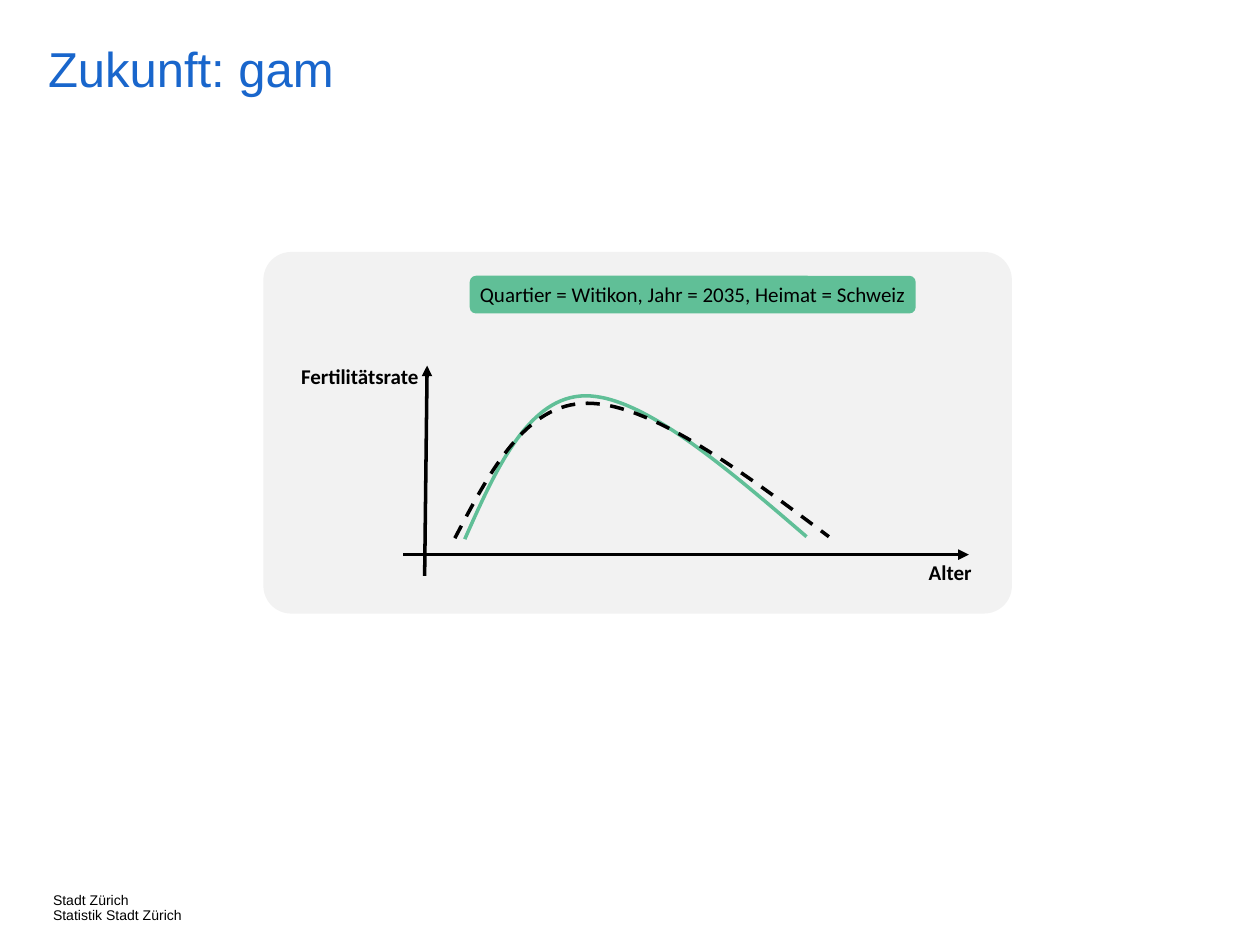
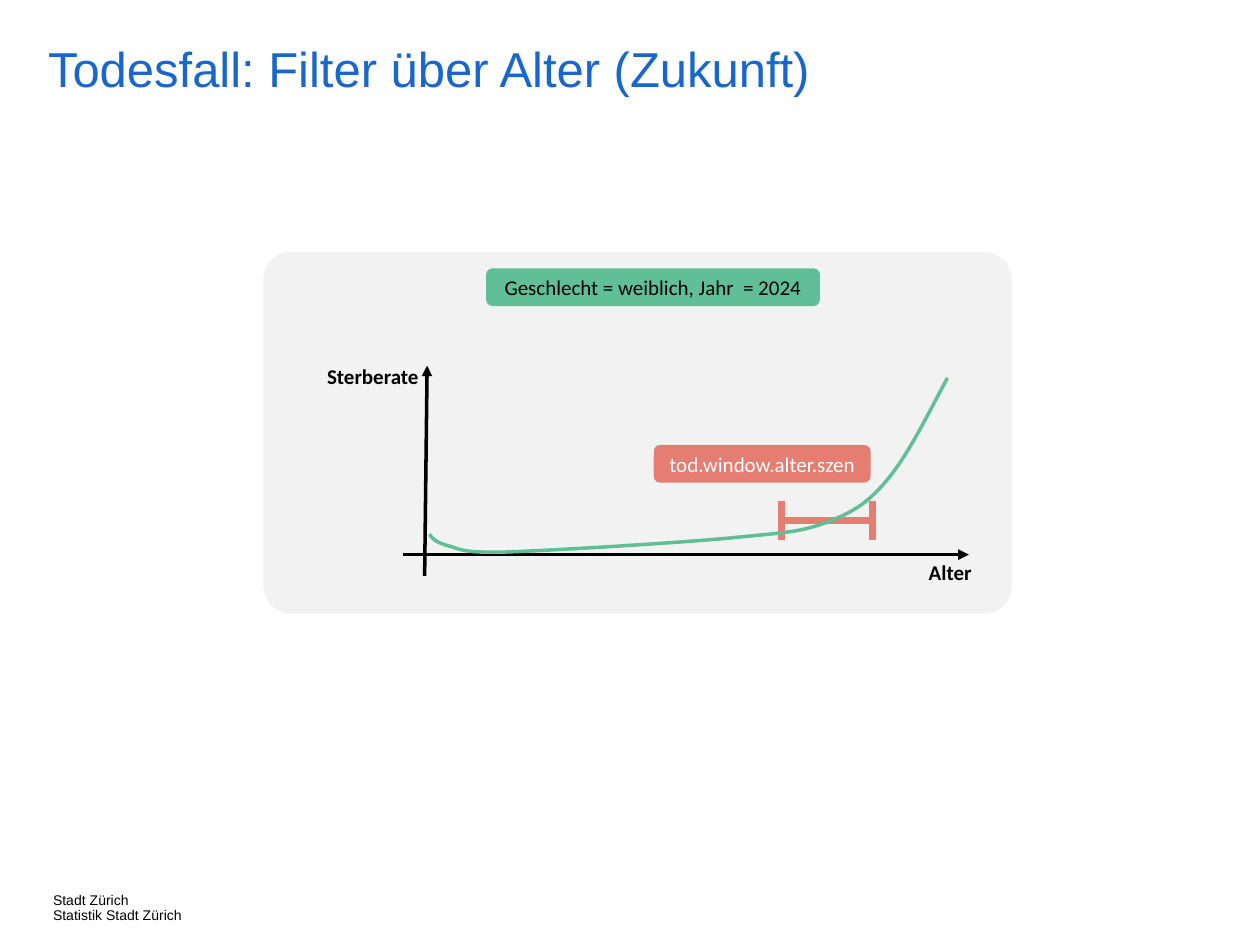
"""Build two slides that sketch smoothed fertility and mortality rates by age."""
from dataclasses import dataclass

from pptx import Presentation
from pptx.dml.color import RGBColor
from pptx.enum.dml import MSO_LINE
from pptx.enum.shapes import MSO_CONNECTOR, MSO_SHAPE
from pptx.enum.text import MSO_ANCHOR, PP_ALIGN
from pptx.oxml.xmlchemy import OxmlElement
from pptx.util import Cm, Pt


@dataclass(frozen=True)
class Theme:
    title: str = "1966CC"
    ink: str = "000000"
    white: str = "FFFFFF"
    panel: str = "F2F2F2"
    green: str = "60BF97"
    red: str = "E67D73"
    head_font: str = "Arial"
    body_font: str = "Calibri"
    title_size: int = 28
    label_size: int = 12
    footer_size: int = 8
    line: int = 2
    bracket: int = 4


THEME = Theme()
LABEL_HEIGHT = 0.76

FERTILITY = [(9.37, 10.87), (10.01, 9.42), (10.67, 7.98), (11.81, 7.98),
             (12.95, 7.98), (14.61, 9.4), (16.26, 10.82)]
FERTILITY_SMOOTH = [(9.17, 10.85), (9.88, 9.5), (10.59, 8.13), (11.84, 8.13),
                    (13.11, 8.13), (14.91, 9.47), (16.71, 10.82)]
MORTALITY = [(8.66, 10.77), (8.71, 10.85), (8.76, 10.92), (9.02, 11),
             (9.27, 11.05), (9.22, 11.15), (10.16, 11.13),
             (11.1, 11.1), (13.59, 10.95), (14.68, 10.85),
             (15.75, 10.74), (16.1, 10.74), (16.64, 10.54),
             (17.17, 10.34), (17.48, 10.16), (17.88, 9.68),
             (18.31, 9.17), (18.69, 8.38), (19.1, 7.62)]


def rgb(color):
    return RGBColor.from_string(color)


def format_text(tf, size, color, font=THEME.body_font, bold=False,
                align=PP_ALIGN.LEFT, spacing=None):
    for p in tf.paragraphs:
        p.alignment = align
        if spacing:
            p.line_spacing = spacing
        for r in p.runs:
            r.font.size = Pt(size)
            r.font.name = font
            r.font.bold = bold
            r.font.color.rgb = rgb(color)


def add_text(s, text, box, wrap=True, inset=True, **style):
    tf = s.shapes.add_textbox(*map(Cm, box)).text_frame
    tf.word_wrap = wrap
    if not inset:
        tf.margin_left = tf.margin_right = tf.margin_top = tf.margin_bottom = 0
    tf.text = text
    format_text(tf, **style)


def add_round_box(s, box, fill):
    sp = s.shapes.add_shape(MSO_SHAPE.ROUNDED_RECTANGLE, *map(Cm, box))
    sp.shadow.inherit = False
    sp.fill.solid()
    sp.fill.fore_color.rgb = rgb(fill)
    sp.line.fill.background()
    return sp


def add_pill(s, text, left, top, width, fill, color):
    tf = add_round_box(s, (left, top, width, LABEL_HEIGHT), fill).text_frame
    tf.word_wrap = False
    tf.vertical_anchor = MSO_ANCHOR.MIDDLE
    tf.text = text
    format_text(tf, THEME.label_size, color, align=PP_ALIGN.CENTER)


def add_line(s, start, end, color=THEME.ink, width=THEME.line, arrow=False):
    sp = s.shapes.add_connector(MSO_CONNECTOR.STRAIGHT, *map(Cm, start + end))
    sp.line.color.rgb = rgb(color)
    sp.line.width = Pt(width)
    if arrow:
        tail = OxmlElement("a:tailEnd")
        tail.set("type", "triangle")
        sp.get_or_add_ln().append(tail)
    sp.element.spPr.append(OxmlElement("a:effectLst"))


def add_curve(s, points, color, dash=None):
    start, *rest = [(Cm(x), Cm(y)) for x, y in points]
    builder = s.shapes.build_freeform(*start)
    builder.add_line_segments(rest, close=False)
    sp = builder.convert_to_shape()
    segments = sp.element.xpath(".//a:lnTo")
    for i in range(0, len(segments), 3):
        bezier = OxmlElement("a:cubicBezTo")
        segments[i].addprevious(bezier)
        for segment in segments[i:i + 3]:
            bezier.append(segment[0])
            segment.getparent().remove(segment)
    sp.shadow.inherit = False
    sp.fill.background()
    sp.line.color.rgb = rgb(color)
    sp.line.width = Pt(THEME.line)
    if dash:
        sp.line.dash_style = dash


def add_bracket(s, left, right, y, half_height):
    style = dict(color=THEME.red, width=THEME.bracket)
    add_line(s, (left, y), (right, y), **style)
    for x in (left, right):
        add_line(s, (x, y - half_height), (x, y + half_height), **style)


def add_axes(s, rate):
    label = dict(size=THEME.label_size, color=THEME.ink, bold=True)
    add_round_box(s, (5.31, 5.08, 15.09, 7.29), THEME.panel).adjustments[0] = 0.077
    add_line(s, (8.13, 11.18), (19.53, 11.18), arrow=True)
    add_text(s, "Alter", (17.58, 11.15, 3.15, LABEL_HEIGHT),
             align=PP_ALIGN.CENTER, **label)
    add_line(s, (8.56, 11.61), (8.61, 7.37), arrow=True)
    add_text(s, rate, (5.54, 7.21, 3.15, LABEL_HEIGHT),
             align=PP_ALIGN.RIGHT, **label)


def add_slide(prs, title, rate):
    s = prs.slides.add_slide(prs.slide_layouts[6])
    head = dict(font=THEME.head_font, inset=False, spacing=0.9)
    add_text(s, "Stadt Zürich\nStatistik Stadt Zürich", (1.07, 18.01, 3.33, 0.51),
             wrap=False, size=THEME.footer_size, color=THEME.ink, **head)
    add_text(s, title, (0.97, 0.91, 21.34, 1.63),
             size=THEME.title_size, color=THEME.title, **head)
    add_axes(s, rate)
    return s


def add_fertility_slide(prs):
    s = add_slide(prs, "Zukunft: gam", "Fertilitätsrate")
    add_curve(s, FERTILITY, THEME.green)
    add_curve(s, FERTILITY_SMOOTH, THEME.ink, MSO_LINE.DASH)
    add_pill(s, "Quartier = Witikon, Jahr = 2035, Heimat = Schweiz",
             9.47, 5.56, 8.99, THEME.green, THEME.ink)


def add_mortality_slide(prs):
    s = add_slide(prs, "Todesfall: Filter über Alter (Zukunft)", "Sterberate")
    add_pill(s, "Geschlecht = weiblich, Jahr  = 2024",
             9.8, 5.41, 6.73, THEME.green, THEME.ink)
    add_bracket(s, 15.76, 17.58, 10.49, 0.4)
    add_pill(s, "tod.window.alter.szen", 13.18, 8.97, 4.37,
             THEME.red, THEME.white)
    add_curve(s, MORTALITY, THEME.green)


def main():
    prs = Presentation()
    prs.slide_width, prs.slide_height = Cm(25.4), Cm(19.05)
    add_fertility_slide(prs)
    add_mortality_slide(prs)
    prs.save("out.pptx")


main()
